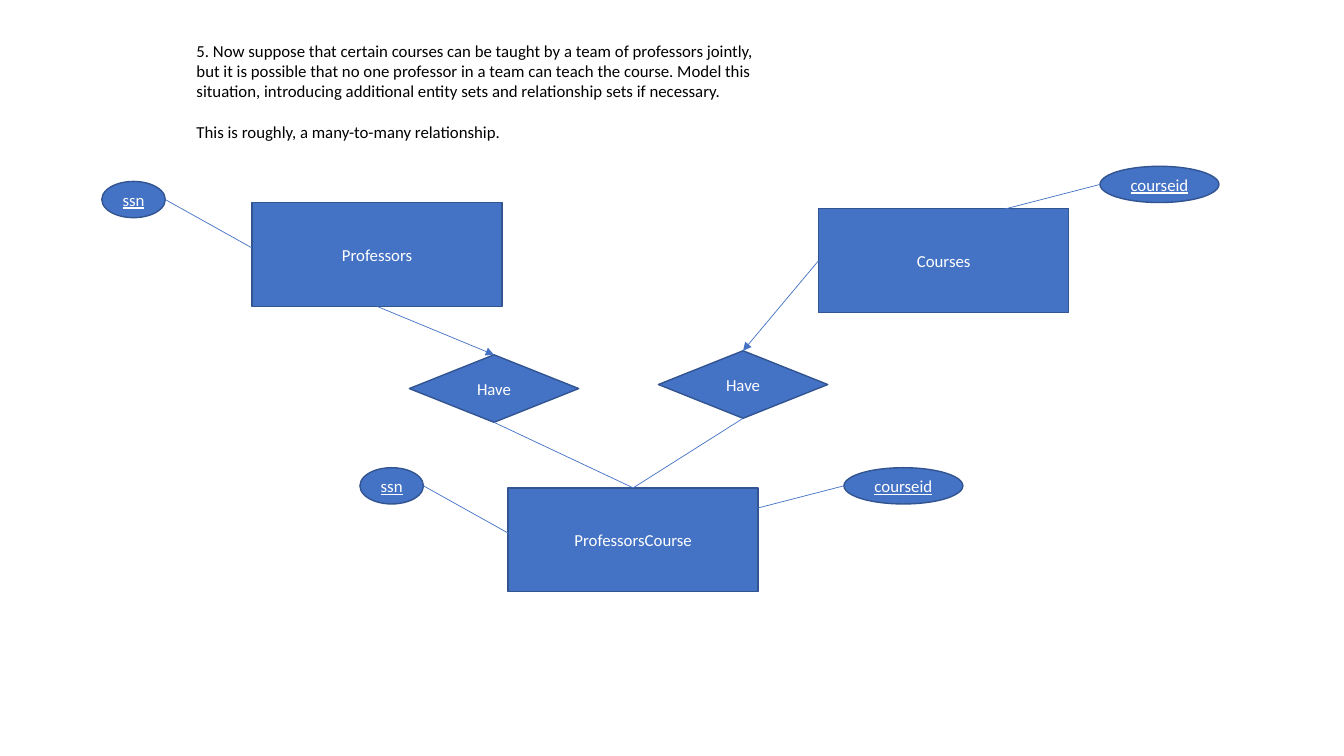
from lxml import etree
from pptx import Presentation
from pptx.dml.color import RGBColor
from pptx.enum.shapes import MSO_CONNECTOR, MSO_SHAPE
from pptx.enum.text import MSO_ANCHOR, PP_ALIGN
from pptx.oxml.ns import qn
from pptx.util import Inches, Pt

ENTITY, RELATION = MSO_SHAPE.RECTANGLE, MSO_SHAPE.FLOWCHART_DECISION
ATTRIBUTE = MSO_SHAPE.OVAL
STRAIGHT = MSO_CONNECTOR.STRAIGHT
CENTER, MIDDLE = PP_ALIGN.CENTER, MSO_ANCHOR.MIDDLE
TOP, LEFT, BOTTOM = 0, 1, 2  # connection sites

THEME = {
    "fill": RGBColor(0x44, 0x72, 0xC4),
    "outline": RGBColor(0x32, 0x54, 0x91),
    "label": RGBColor(0xFF, 0xFF, 0xFF),
    "text": RGBColor(0, 0, 0),
    "font": "Calibri",
    "size": Pt(12),
    "outline_width": Pt(1),
    "link_width": Pt(0.5),
    "blank_line": Pt(14.65),
}


def add_node(kind, label, left, top, width, height):
    node = slide.shapes.add_shape(
        kind, Inches(left), Inches(top), Inches(width), Inches(height))
    node.shadow.inherit = False
    node.fill.solid()
    node.fill.fore_color.rgb = THEME["fill"]
    node.line.color.rgb = THEME["outline"]
    node.line.width = THEME["outline_width"]
    frame = node.text_frame
    frame.vertical_anchor = MIDDLE
    frame.margin_left = frame.margin_right = 0
    frame.word_wrap = False
    paragraph = frame.paragraphs[0]
    paragraph.alignment = CENTER
    run = paragraph.add_run()
    run.text = label
    font_format = {"name": THEME["font"], "size": THEME["size"],
                   "underline": kind == ATTRIBUTE}
    for key, value in font_format.items():
        setattr(run.font, key, value)
    run.font.color.rgb = THEME["label"]
    return node


def add_link(x1, y1, x2, y2):
    link = slide.shapes.add_connector(
        STRAIGHT, Inches(x1), Inches(y1), Inches(x2), Inches(y2))
    link.line.color.rgb = THEME["fill"]
    link.line.width = THEME["link_width"]
    etree.SubElement(link._element.spPr, qn("a:effectLst"))
    return link


prs = Presentation()
prs.slide_width, prs.slide_height = Inches(13.33), Inches(7.5)
slide = prs.slides.add_slide(prs.slide_layouts[6])

# Exercise text
exercise = [
    "5. Now suppose that certain courses can be taught by a team of professors jointly,",
    "but it is possible that no one professor in a team can teach the course. Model this",
    "situation, introducing additional entity sets and relationship sets if necessary.",
    "This is roughly, a many-to-many relationship.",
]
question = slide.shapes.add_textbox(
    Inches(1.85), Inches(0.35), Inches(5.78), Inches(1.11)).text_frame
question.word_wrap = False
for i, sentence in enumerate(exercise):
    paragraph = question.paragraphs[0] if i == 0 else question.add_paragraph()
    paragraph.text = sentence
    font = paragraph.runs[0].font
    font.name, font.size = THEME["font"], THEME["size"]
    font.color.rgb = THEME["text"]
paragraph.space_before = THEME["blank_line"]

# Entity sets
professors, courses, professors_course = [
    add_node(ENTITY, label, left, top, 2.48, 1.03)
    for label, left, top in [("Professors", 2.5, 2.01), ("Courses", 8.12, 2.07),
                             ("ProfessorsCourse", 5.04, 4.84)]]

# Relationship sets
professors_have, courses_have = [
    add_node(RELATION, "Have", left, top, 1.68, 0.67)
    for left, top in [(4.06, 3.52), (6.53, 3.48)]]

# Links between entity and relationship sets
for start, start_site, end, has_arrow in [
    (professors, BOTTOM, professors_have, True),
    (courses, LEFT, courses_have, True),
    (professors_have, BOTTOM, professors_course, False),
    (courses_have, BOTTOM, professors_course, False),
]:
    link = add_link(0, 0, 1, 1)
    link.begin_connect(start, start_site)
    link.end_connect(end, TOP)
    if has_arrow:
        etree.SubElement(link.line._get_or_add_ln(), qn("a:tailEnd"), type="triangle")

# Key attributes, each linked to its entity set
oval_height = 0.36
for left, top in [(1.01, 1.8), (3.57, 4.64)]:
    add_node(ATTRIBUTE, "ssn", left, top, 0.63, oval_height)
    x, y = left + 0.63, top + oval_height / 2
    add_link(x, y, x + 0.86, y + 0.48)
for left, top in [(10.91, 1.65), (8.37, 4.64)]:
    add_node(ATTRIBUTE, "courseid", left, top, 1.18, oval_height)
    y = top + oval_height / 2
    add_link(left, y, left - 1.55, y + 0.4)

prs.save("out.pptx")
